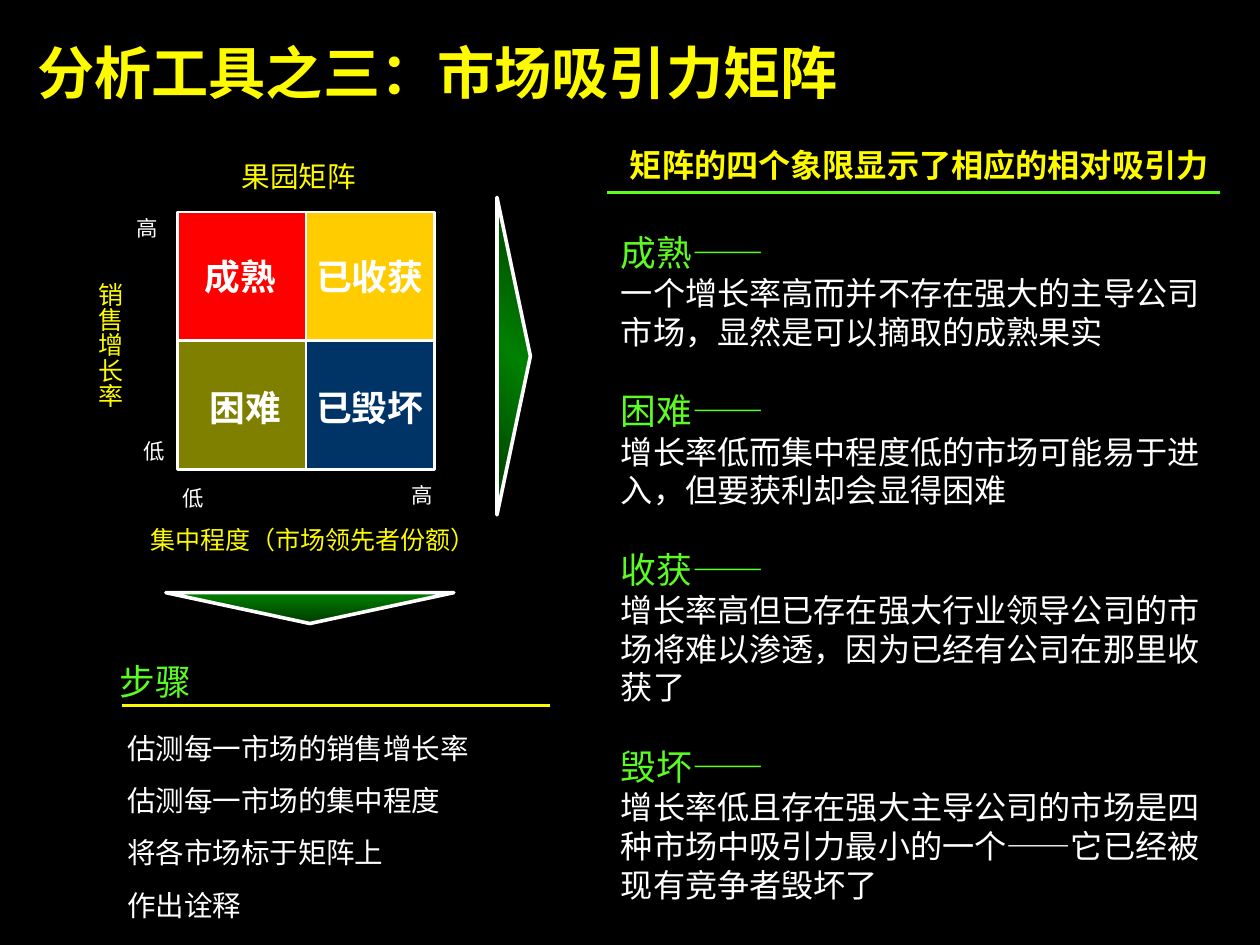
import copy
from dataclasses import dataclass

import pptx
import pptx.dml.color
import pptx.enum.shapes
import pptx.enum.text
import pptx.oxml
import pptx.oxml.ns
import pptx.util

Inches, Pt = pptx.util.Inches, pptx.util.Pt
RGB = pptx.dml.color.RGBColor.from_string
Kind = pptx.enum.shapes.MSO_SHAPE
qn = pptx.oxml.ns.qn
NS = 'xmlns:a="http://schemas.openxmlformats.org/drawingml/2006/main"'


@dataclass
class Theme:
    font: str = "Noto Sans CJK SC"
    back: str = "000000"
    white: str = "FFFFFF"
    yellow: str = "FEFB00"
    lime: str = "5CFB23"
    green: str = "008000"
    dark: str = "003B00"
    red: str = "FF0000"
    gold: str = "FFCC00"
    olive: str = "808000"
    navy: str = "003366"
    title: int = 32
    head: int = 20
    body: int = 18
    step: int = 16
    axis: int = 14
    mark: int = 12


theme = Theme()
deck = pptx.Presentation()
deck.slide_width, deck.slide_height = Inches(9.8), Inches(7.35)
slide = deck.slides.add_slide(deck.slide_layouts[6])
slide.background.fill.solid()
slide.background.fill.fore_color.rgb = RGB(theme.back)


def write(left, top, width, height, rows, wrap=False, after=0):
    """Add a text box; each row is (text, size, colour, bold, space before)."""
    box = slide.shapes.add_textbox(*map(Inches, (left, top, width, height)))
    frame = box.text_frame
    frame.word_wrap = wrap
    frame.margin_left = frame.margin_right = frame.margin_bottom = 0
    frame.margin_top = Pt(0.12 * rows[0][1])
    frame.text = "\n".join(row[0] for row in rows)
    for para, (text, size, tint, bold, before) in zip(frame.paragraphs, rows):
        para.line_spacing = Pt(1.2 * size)
        para.space_before, para.space_after = Pt(before), Pt(after)
        font = para.runs[0].font
        font.size, font.bold, font.name = Pt(size), bold, theme.font
        font.color.rgb = RGB(tint)
        latin = font._element.find(qn("a:latin"))
        latin.addnext(pptx.oxml.parse_xml(
            f'<a:ea {NS} typeface="{theme.font}"/>'))
    return box


def draw(kind, left, top, width, height, line):
    item = slide.shapes.add_shape(
        kind, *map(Inches, (left, top, width, height)))
    item.shadow.inherit = False
    item.line.color.rgb = RGB(theme.white)
    item.line.width = Pt(line)
    return item


write(0.29, 0.24, 6.23, 0.53,
      [("分析工具之三：市场吸引力矩阵", theme.title, theme.yellow, True, 0)])

# Matrix
side = 1
cells = [("成熟", theme.red, 1.59), ("已收获", theme.gold, 2.46),
         ("困难", theme.olive, 1.63), ("已毁坏", theme.navy, 2.46)]
for i, (name, tint, left) in enumerate(cells):
    row, col = divmod(i, 2)
    cell = draw(Kind.RECTANGLE, 1.38 + col * side, 1.65 + row * side,
                side, side, 1.5)
    cell.fill.solid()
    cell.fill.fore_color.rgb = RGB(tint)
    label = write(left, 1.95 + row * 1.02, 0.28 * len(name), 0.33,
                  [(name, theme.head, theme.white, True, 0)])
    font = label.text_frame.paragraphs[0].runs[0].font
    font._element.find(qn("a:latin")).addprevious(pptx.oxml.parse_xml(
        f'<a:effectLst {NS}><a:outerShdw dist="25400" dir="2700000">'
        f'<a:srgbClr val="{theme.back}"/></a:outerShdw></a:effectLst>'))

marks = [("高", 1.06, 1.65), ("高", 3.2, 3.73),
         ("低", 1.42, 3.75), ("低", 1.12, 3.39)]
for text, left, top in marks:
    write(left, top, 0.17, 0.2, [(text, theme.mark, theme.white, False, 0)])

write(1.88, 1.21, 0.89, 0.27,
      [("果园矩阵", theme.step, theme.yellow, False, 0)])
write(1.17, 4.06, 2.54, 0.23,
      [("集中程度（市场领先者份额）", theme.axis, theme.yellow, False, 0)])
growth = write(0.74, 2.2, 0.23, 0.98,
               [("销售增长率", theme.axis, theme.yellow, False, 0)])
growth.text_frame.margin_top = 0
growth.text_frame._txBody.bodyPr.set("vert", "eaVert")

# Pointers
down = draw(Kind.FLOWCHART_MERGE, 1.29, 4.61, 2.24, 0.24, 2)
right = draw(Kind.ISOSCELES_TRIANGLE, 2.76, 2.64, 2.47, 0.26, 2)
right.rotation = 90
fades = [(down, 270, [theme.green, theme.dark]),
         (right, 135, [theme.dark, theme.green, theme.dark])]
for item, angle, tints in fades:
    item.fill.gradient()
    item.fill.gradient_angle = angle
    stops = item._element.spPr.find(qn("a:gradFill")).find(qn("a:gsLst"))
    while len(stops) < len(tints):
        stops.append(copy.deepcopy(stops[-1]))
    for i, stop in enumerate(item.fill.gradient_stops):
        stop.position = i / (len(tints) - 1)
        stop.color.rgb = RGB(tints[i])

# Rules
for left, end, top, tint in [(0.95, 4.28, 5.49, theme.yellow),
                             (4.72, 9.49, 1.5, theme.lime)]:
    rule = slide.shapes.add_connector(
        pptx.enum.shapes.MSO_CONNECTOR.STRAIGHT,
        *map(Inches, (left, top, end, top)))
    rule.line.color.rgb = RGB(tint)
    rule.line.width = Pt(1.75)
    rule._element.spPr.append(pptx.oxml.parse_xml(f"<a:effectLst {NS}/>"))

# Steps
write(0.93, 5.1, 0.64, 0.84,
      [("步骤", theme.head, theme.lime, False, 0)], wrap=True)
steps = ["估测每一市场的销售增长率", "估测每一市场的集中程度",
         "将各市场标于矩阵上", "作出诠释"]
write(0.99, 5.66, 2.66, 1.48,
      [(step, theme.step, theme.white, False, 0) for step in steps], after=10)

# Quadrant notes
write(4.9, 1.1, 4.5, 0.3,
      [("矩阵的四个象限显示了相应的相对吸引力",
        theme.body, theme.yellow, True, 0)])
notes = [
    ("成熟——", "一个增长率高而并不存在强大的主导公司市场，显然是可以摘取的成熟果实"),
    ("困难——", "增长率低而集中程度低的市场可能易于进入，但要获利却会显得困难"),
    ("收获——", "增长率高但已存在强大行业领导公司的市场将难以渗透，"
     "因为已经有公司在那里收获了"),
    ("毁坏——", "增长率低且存在强大主导公司的市场是四种市场中吸引力最小的一个"
     "——它已经被现有竞争者毁坏了"),
]
rows = []
for head, text in notes:
    gap = 1.2 * theme.body if rows else 0
    rows += [(head, theme.head, theme.lime, False, gap),
             (text, theme.body, theme.white, False, 0)]
write(4.83, 1.76, 4.61, 5.23, rows, wrap=True)

deck.save("out.pptx")
